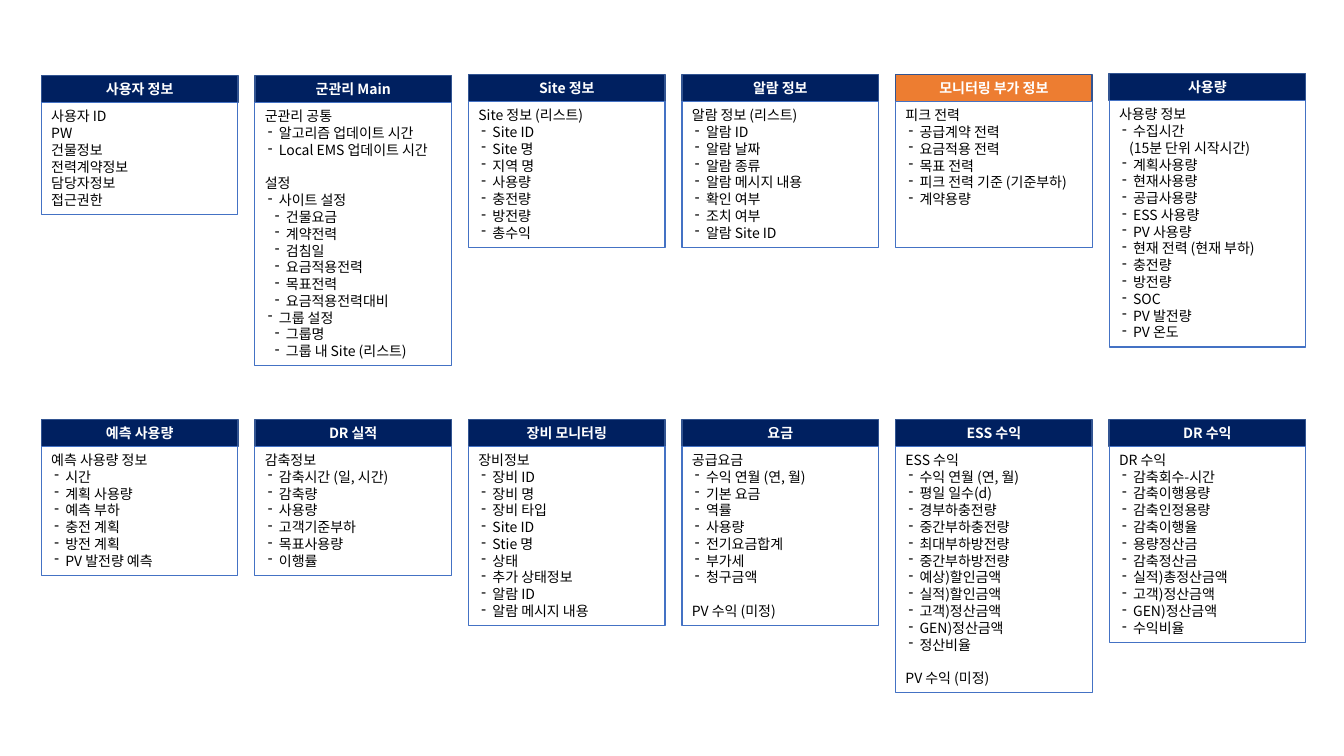
import lxml.etree
import pptx
import pptx.dml.color
import pptx.enum.shapes
import pptx.enum.text
import pptx.oxml.ns
import pptx.util

COLORS = {
    "navy": "002060",
    "orange": "ED7D31",
    "header_line": "325491",
    "body_line": "4472C4",
    "white": "FFFFFF",
    "black": "000000",
}
FONT = "Noto Sans CJK KR"
SIZE = 10
LINE_PT = 12

# Grid in inches
LEFT, LAST_LEFT, COLUMNS = 0.41, 11.0, 6
PITCH = (LAST_LEFT - LEFT) / (COLUMNS - 1)
CARD_W, HEADER_H = 1.95, 0.27
INSET_X, INSET_Y = 0.1, 0.05

# Line prefix: (left margin, hanging indent, bullet)
LEVELS = {
    "-- ": (0.21, -0.11, "-"),
    "- ": (0.14, -0.11, "-"),
    "> ": (0.1, 0, None),
    "": (0, 0, None),
}

# Each card: title, lines; "" leaves a one-line gap before the next line
TOP_CARDS = [
    ("사용자 정보", ["사용자 ID", "PW", "건물정보", "전력계약정보", "담당자정보", "접근권한"]),
    ("군관리 Main", [
        "군관리 공통", "- 알고리즘 업데이트 시간", "- Local EMS 업데이트 시간", "",
        "설정", "- 사이트 설정", "-- 건물요금", "-- 계약전력", "-- 검침일",
        "-- 요금적용전력", "-- 목표전력", "-- 요금적용전력대비",
        "- 그룹 설정", "-- 그룹명", "-- 그룹 내 Site (리스트)"]),
    ("Site 정보", [
        "Site 정보 (리스트)", "- Site ID", "- Site 명", "- 지역 명", "- 사용량",
        "- 충전량", "- 방전량", "- 총수익"]),
    ("알람 정보", [
        "알람 정보 (리스트)", "- 알람 ID", "- 알람 날짜", "- 알람 종류",
        "- 알람 메시지 내용", "- 확인 여부", "- 조치 여부", "- 알람 Site ID"]),
    ("모니터링 부가 정보", [
        "피크 전력", "- 공급계약 전력", "- 요금적용 전력", "- 목표 전력",
        "- 피크 전력 기준 (기준부하)", "- 계약용량"]),
    ("사용량", [
        "사용량 정보", "- 수집시간", "> (15분 단위 시작시간)", "- 계획사용량",
        "- 현재사용량", "- 공급사용량", "- ESS 사용량", "- PV 사용량",
        "- 현재 전력 (현재 부하)", "- 충전량", "- 방전량", "- SOC",
        "- PV 발전량", "- PV 온도"]),
]
BOTTOM_CARDS = [
    ("예측 사용량", [
        "예측 사용량 정보", "- 시간", "- 계획 사용량", "- 예측 부하", "- 충전 계획",
        "- 방전 계획", "- PV 발전량 예측"]),
    ("DR 실적", [
        "감축정보", "- 감축시간 (일, 시간)", "- 감축량", "- 사용량",
        "- 고객기준부하", "- 목표사용량", "- 이행률"]),
    ("장비 모니터링", [
        "장비정보", "- 장비 ID", "- 장비 명", "- 장비 타입", "- Site ID",
        "- Stie 명", "- 상태", "- 추가 상태정보", "- 알람 ID", "- 알람 메시지 내용"]),
    ("요금", [
        "공급요금", "- 수익 연월 (연, 월)", "- 기본 요금", "- 역률", "- 사용량",
        "- 전기요금합계", "- 부가세", "- 청구금액", "", "PV 수익 (미정)"]),
    ("ESS 수익", [
        "ESS 수익", "- 수익 연월 (연, 월)", "- 평일 일수(d)", "- 경부하충전량",
        "- 중간부하충전량", "- 최대부하방전량", "- 중간부하방전량",
        "- 예상)할인금액", "- 실적)할인금액", "- 고객)정산금액",
        "- GEN)정산금액", "- 정산비율", "", "PV 수익 (미정)"]),
    ("DR 수익", [
        "DR 수익", "- 감축회수-시간", "- 감축이행용량", "- 감축인정용량",
        "- 감축이행율", "- 용량정산금", "- 감축정산금", "- 실적)총정산금액",
        "- 고객)정산금액", "- GEN)정산금액", "- 수익비율"]),
]
TOP_Y = [0.75, 0.75, 0.74, 0.74, 0.74, 0.73]
BOTTOM_Y = [4.16] * COLUMNS
ACCENT_TITLE = "모니터링 부가 정보"
MIN_LINES = {ACCENT_TITLE: 8}


def rgb(name):
    return pptx.dml.color.RGBColor.from_string(COLORS[name])


def add_box(shapes, x, y, w, h, fill, line, line_pt):
    sp = shapes.add_shape(pptx.enum.shapes.MSO_SHAPE.RECTANGLE,
                          *[pptx.util.Inches(v) for v in (x, y, w, h)])
    sp.shadow.inherit = False
    if fill:
        sp.fill.solid()
        sp.fill.fore_color.rgb = rgb(fill)
    else:
        sp.fill.background()
    sp.line.color.rgb = rgb(line)
    sp.line.width = pptx.util.Pt(line_pt)
    tf = sp.text_frame
    tf.word_wrap = True
    tf.margin_left = tf.margin_right = pptx.util.Inches(INSET_X)
    tf.margin_top = tf.margin_bottom = pptx.util.Inches(INSET_Y)
    return tf


def add_run(p, text, color, bold=False):
    r = p.add_run()
    r.text = text
    r.font.size = pptx.util.Pt(SIZE)
    r.font.bold = bold
    r.font.color.rgb = rgb(color)
    r.font.name = FONT
    ea = lxml.etree.SubElement(r.font._element, pptx.oxml.ns.qn("a:ea"))
    ea.set("typeface", FONT)


def add_line(p, line, gap):
    prefix = next(k for k in LEVELS if line.startswith(k))
    margin, indent, bullet = LEVELS[prefix]
    pPr = p._p.get_or_add_pPr()
    pPr.set("marL", str(pptx.util.Inches(margin)))
    pPr.set("indent", str(pptx.util.Inches(indent)))
    if bullet:
        bu = lxml.etree.SubElement(pPr, pptx.oxml.ns.qn("a:buChar"))
        bu.set("char", bullet)
    p.alignment = pptx.enum.text.PP_ALIGN.LEFT
    p.line_spacing = pptx.util.Pt(LINE_PT)
    if gap:
        p.space_before = pptx.util.Pt(LINE_PT)
    add_run(p, line[len(prefix):], "black")


def add_card(s, x, y, title, lines):
    shapes = s.shapes.add_group_shape().shapes

    # Header
    fill = "orange" if title == ACCENT_TITLE else "navy"
    tf = add_box(shapes, x, y, CARD_W, HEADER_H, fill, "header_line", 1)
    tf.vertical_anchor = pptx.enum.text.MSO_ANCHOR.MIDDLE
    p = tf.paragraphs[0]
    p.alignment = pptx.enum.text.PP_ALIGN.CENTER
    add_run(p, title, "white", bold=True)

    # Body, as tall as its lines
    count = max(len(lines), MIN_LINES.get(title, 0))
    body_h = 2 * INSET_Y + count * LINE_PT / 72 + 0.01
    tf = add_box(shapes, x, y + HEADER_H, CARD_W, body_h, None, "body_line", 0.75)
    tf.vertical_anchor = pptx.enum.text.MSO_ANCHOR.TOP
    for i, line in enumerate(lines):
        if line:
            p = tf.add_paragraph() if i else tf.paragraphs[0]
            add_line(p, line, gap=i > 0 and not lines[i - 1])


def add_card_row(s, cards, tops):
    for col, ((title, lines), y) in enumerate(zip(cards, tops)):
        add_card(s, LEFT + col * PITCH, y, title, lines)


def main():
    prs = pptx.Presentation()
    prs.slide_width = pptx.util.Inches(13.33)
    prs.slide_height = pptx.util.Inches(7.5)
    s = prs.slides.add_slide(prs.slide_layouts[6])
    add_card_row(s, TOP_CARDS, TOP_Y)
    add_card_row(s, BOTTOM_CARDS, BOTTOM_Y)
    prs.save("out.pptx")


if __name__ == "__main__":
    main()
